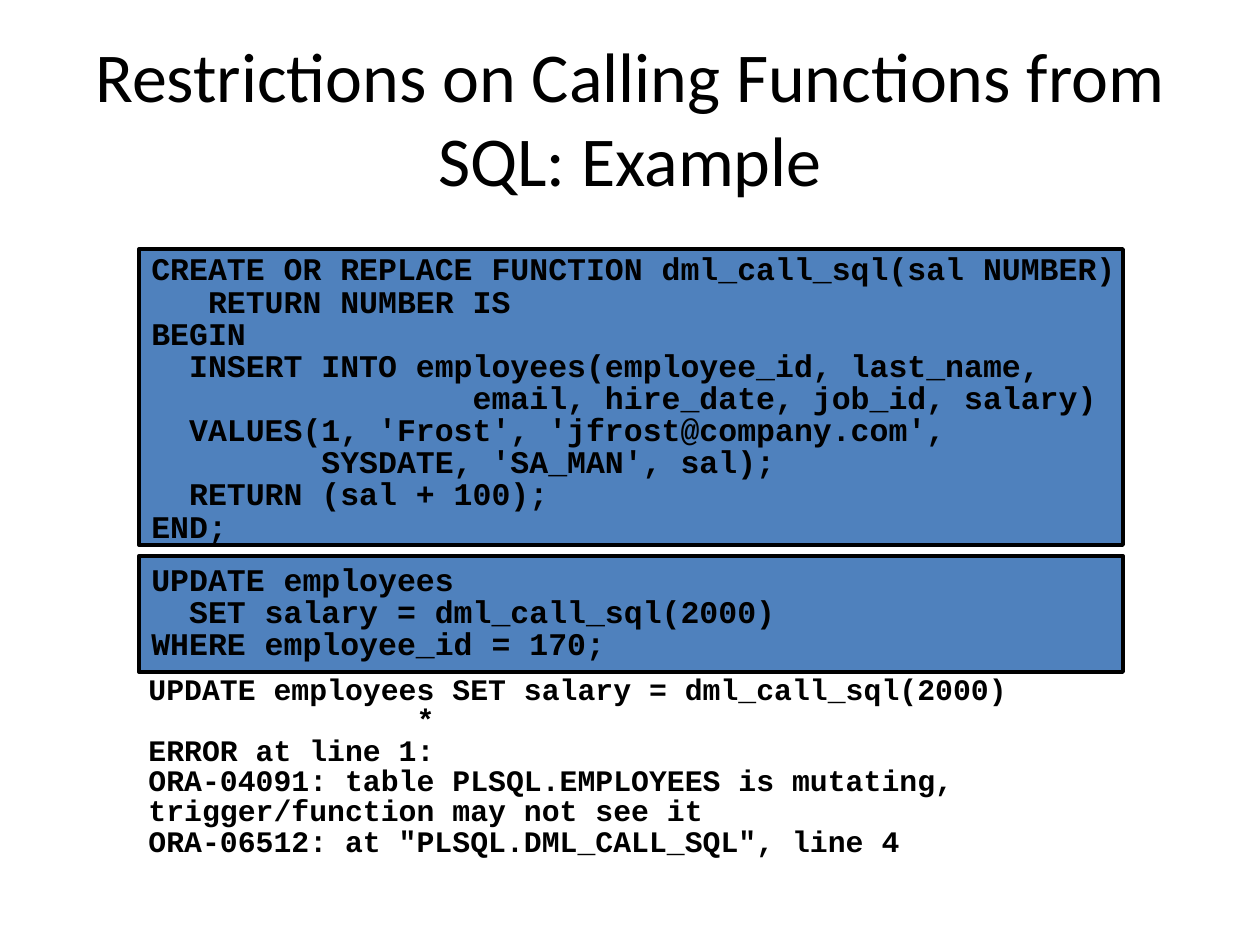
"""Build the slide on restrictions on calling functions from SQL."""
from pptx import Presentation
from pptx.dml.color import RGBColor as Rgb
from pptx.enum.shapes import MSO_SHAPE as Kind
from pptx.enum.text import MSO_ANCHOR as Anchor, MSO_AUTO_SIZE as Fit, PP_ALIGN as Align
from pptx.util import Emu, Pt

COLORS = {"text": "000000", "fill": "4F81BD", "line": "000000"}
SCALE = 914400 / 126


def px(*nums):
    return [Emu(round(n * SCALE)) for n in nums]


def write(frame, text, name, size, bold, align, space=None):
    frame.text = text
    for para in frame.paragraphs:
        para.alignment = align
        para.line_spacing = space
        font = para.font
        font.name, font.size, font.bold = name, Pt(size), bold
        font.color.rgb = Rgb.from_string(COLORS["text"])


deck = Presentation()
deck.slide_width, deck.slide_height = px(1260, 945)
slide = deck.slides.add_slide(deck.slide_layouts[5])
shapes = slide.shapes

title = shapes.title
title.left, title.top, title.width, title.height = px(63, 38, 1134, 158)
title.text_frame.vertical_anchor = Anchor.MIDDLE
write(title.text_frame, "Restrictions on Calling Functions from SQL: Example",
      "Calibri", 40, False, Align.CENTER)

create = """CREATE OR REPLACE FUNCTION dml_call_sql(sal NUMBER)
   RETURN NUMBER IS
BEGIN
  INSERT INTO employees(employee_id, last_name,\v                 email, hire_date, job_id, salary)
  VALUES(1, 'Frost', 'jfrost@company.com',
         SYSDATE, 'SA_MAN', sal);
  RETURN (sal + 100);
END;"""
update = """UPDATE employees
  SET salary = dml_call_sql(2000)
WHERE employee_id = 170;"""

for top, height, anchor, code in (
    (249, 296, Anchor.TOP, create),
    (556, 116, Anchor.MIDDLE, update),
):
    box = shapes.add_shape(Kind.RECTANGLE, *px(139, top, 984, height))
    box.shadow.inherit = False
    box.fill.solid()
    box.fill.fore_color.rgb = Rgb.from_string(COLORS["fill"])
    box.line.color.rgb = Rgb.from_string(COLORS["line"])
    box.line.width = Pt(2.25)
    frame = box.text_frame
    frame.word_wrap = False
    frame.vertical_anchor = anchor
    write(frame, code, "Courier New", 18, True, Align.LEFT, 0.85)

error = "\v".join((
    "UPDATE employees SET salary = dml_call_sql(2000)",
    "               *",
    "ERROR at line 1:",
    "ORA-04091: table PLSQL.EMPLOYEES is mutating, trigger/function may not see it",
    'ORA-06512: at "PLSQL.DML_CALL_SQL", line 4',
))
frame = shapes.add_textbox(*px(136, 670, 987, 195)).text_frame
frame.word_wrap = True
frame.auto_size = Fit.SHAPE_TO_FIT_TEXT
write(frame, error, "Courier New", 17, True, Align.LEFT, 0.85)
frame.paragraphs[0].space_before = Pt(10.6)

deck.save("out.pptx")
